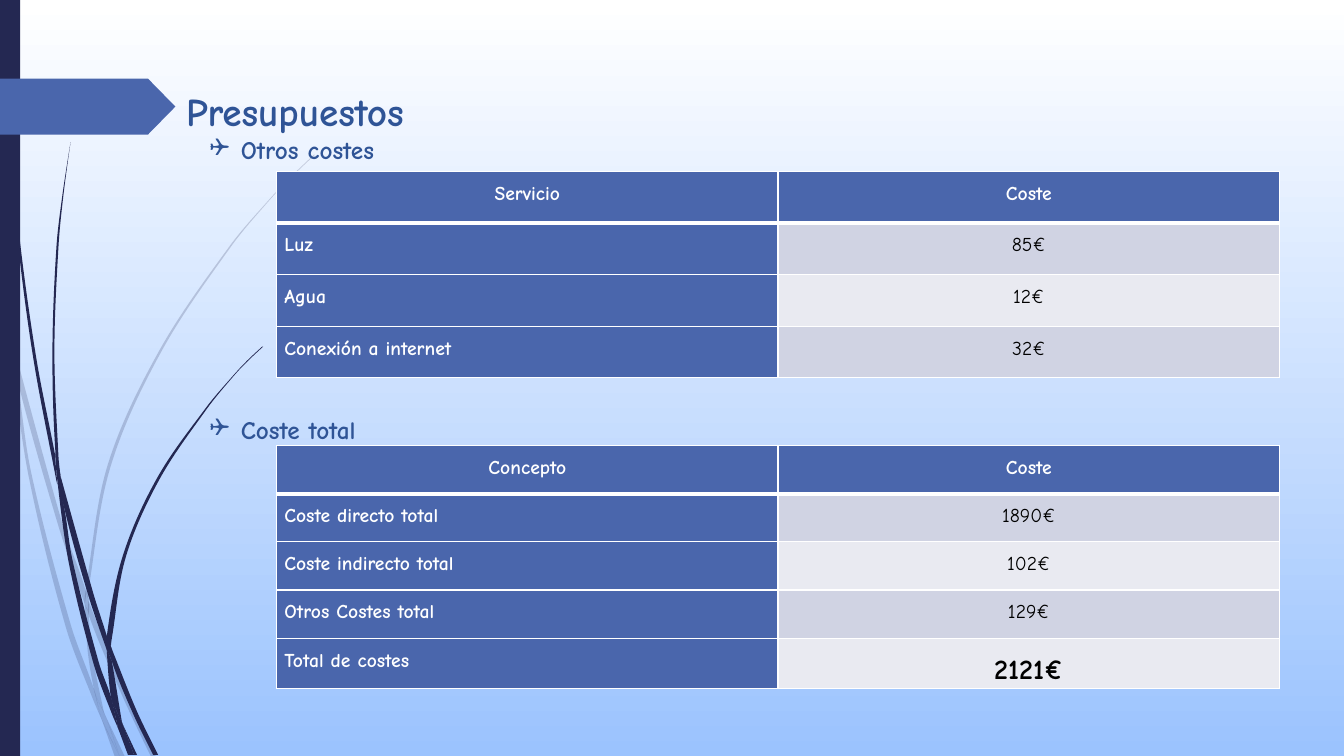
from dataclasses import dataclass
from math import hypot
from typing import NamedTuple

from pptx import Presentation
from pptx.dml.color import RGBColor
from pptx.enum.shapes import MSO_SHAPE
from pptx.enum.text import MSO_ANCHOR, MSO_AUTO_SIZE, PP_ALIGN
from pptx.oxml import parse_xml
from pptx.oxml.ns import nsdecls, qn
from pptx.util import Pt

WHITE = RGBColor(0xFF, 0xFF, 0xFF)
BLACK = RGBColor(0, 0, 0)
SKY = RGBColor(0x9B, 0xC3, 0xFE)
NAVY = RGBColor(0x24, 0x28, 0x52)
BLUE = RGBColor(0x4A, 0x66, 0xAC)
HEADING = RGBColor(0x2F, 0x54, 0x96)
BANDS = (RGBColor(0xD0, 0xD3, 0xE3), RGBColor(0xE9, 0xEA, 0xF1))
FONT = "Comic Neue"
GRID = 0.72
COLUMNS = (358, 358.4)
TABLE_LEFT = 197.7


class Knot(NamedTuple):
    x: float
    y: float


@dataclass
class Heading:
    text: str
    top: float
    width: float


@dataclass
class CostTable:
    top: float
    row_height: float
    rows: list[tuple[str, str]]
    has_total: bool = False


PALE_STALKS = [
    [(11, 350), (9, 322), (0, 282), (0, 299), (10, 344)],
    [(58, 522), (84, 599), (85, 586), (62, 520), (14, 345), (17, 376)],
    [(92, 607), (88, 596), (88, 610), (123, 694), (150, 751), (155, 751), (127, 692)],
    [(119, 751), (124, 751), (105, 711)],
    [(93, 683), (70, 619), (31, 469), (17, 376), (11, 350), (28, 470), (65, 621),
     (92, 693), (101, 714), (99, 707)],
    [(84, 599), (87, 646), (93, 683), (96, 692), (105, 711), (103, 706), (91, 646),
     (88, 610), (88, 608)],
    [(88, 584), (110, 462), (160, 349), (229, 245), (268, 198), (290, 175), (312, 154),
     (312, 153), (289, 175), (268, 197), (228, 244), (158, 348), (107, 461), (85, 584),
     (85, 586), (88, 596)],
    [(101, 714), (114, 751), (119, 751)],
    [(88, 608), (88, 610), (88, 596), (85, 586), (84, 599)],
    [(96, 692), (93, 683), (99, 707), (101, 714), (119, 751), (105, 711)],
]
DARK_STALKS = [
    [(7, 110), (17, 233), (33, 355), (56, 477), (57, 481), (55, 457), (55, 453),
     (36, 355), (19, 232), (8, 109), (5, 48), (4, 0), (3, 0), (4, 48)],
    [(88, 592), (106, 645), (106, 633), (106, 631), (93, 590), (60, 472), (64, 505)],
    [(113, 649), (110, 641), (111, 656), (132, 708), (152, 749), (157, 749), (136, 706)],
    [(110, 691), (98, 657), (72, 556), (64, 505), (57, 477), (68, 557), (93, 659),
     (111, 708), (117, 722), (116, 717)],
    [(60, 472), (58, 453), (54, 349), (58, 245), (63, 193), (70, 141), (62, 193),
     (56, 245), (52, 349), (55, 449)],
    [(133, 749), (136, 749), (122, 719)],
    [(57, 477), (64, 505), (60, 472), (55, 449), (55, 453)],
    [(111, 633), (125, 552), (158, 476), (205, 406), (231, 374), (245, 359), (261, 344),
     (260, 344), (245, 358), (231, 373), (204, 405), (156, 474), (122, 551), (106, 631),
     (110, 641)],
    [(117, 722), (127, 749), (131, 749)],
    [(106, 645), (110, 691), (116, 706), (122, 719), (121, 716), (111, 656), (109, 651)],
    [(106, 645), (109, 651), (111, 656), (110, 641), (106, 631), (106, 633)],
    [(116, 706), (110, 691), (116, 717), (117, 722), (130, 749), (133, 749), (122, 719)],
]
HEADINGS = [Heading("Otros costes", 81.4, 198), Heading("Coste total", 281.5, 170.6)]
TABLES = [
    CostTable(122.4, 36.9, [("Servicio", "Coste"), ("Luz", "85€"), ("Agua", "12€"),
                            ("Conexión a internet", "32€")]),
    CostTable(318.3, 34.4, [("Concepto", "Coste"), ("Coste directo total", "1890€"),
                            ("Coste indirecto total", "102€"),
                            ("Otros Costes total", "129€"),
                            ("Total de costes", "2121€")], True),
]


def tangent(before: Knot, knot: Knot, after: Knot) -> tuple[float, float]:
    ax, ay = knot.x - before.x, knot.y - before.y
    bx, by = after.x - knot.x, after.y - knot.y
    if ax * bx + ay * by < 0.8 * hypot(ax, ay) * hypot(bx, by):
        return 0, 0
    span = hypot(ax + bx, ay + by)
    return (ax + bx) / span, (ay + by) / span


def curve_points(knots: list[Knot]) -> list[tuple[int, int]]:
    count = len(knots)
    slopes = [tangent(knots[i - 1], k, knots[(i + 1) % count]) for i, k in enumerate(knots)]
    points = []
    for i, a in enumerate(knots):
        j = (i + 1) % count
        b = knots[j]
        third = hypot(b.x - a.x, b.y - a.y) / 3
        for x, y in ((a.x + slopes[i][0] * third, a.y + slopes[i][1] * third),
                     (b.x - slopes[j][0] * third, b.y - slopes[j][1] * third), b):
            points.append((Pt(x * GRID), Pt(y * GRID)))
    return points


def paint(shape, color: RGBColor) -> None:
    shape.shadow.inherit = False
    shape.fill.solid()
    shape.fill.fore_color.rgb = color
    shape.line.fill.background()


def draw_stalk(s, outline: list[tuple[int, int]], opacity: int) -> None:
    points = curve_points([Knot(*k) for k in outline])
    builder = s.shapes.build_freeform(*points[-1])
    builder.add_line_segments(points, close=True)
    shape = builder.convert_to_shape()
    paint(shape, NAVY)
    lines = list(shape._element.iter(qn("a:lnTo")))
    for i in range(0, len(lines), 3):
        curve = parse_xml(f'<a:cubicBezTo {nsdecls("a")}/>')
        lines[i].addprevious(curve)
        for line in lines[i:i + 3]:
            curve.append(line[0])
            line.getparent().remove(line)
    if opacity < 100:
        color = shape.fill._xPr.find(".//" + qn("a:srgbClr"))
        color.append(parse_xml(f'<a:alpha {nsdecls("a")} val="{opacity * 1000}"/>'))


def write(p, text: str, size: float, color: RGBColor, bold: bool = True) -> None:
    r = p.add_run()
    r.text = text
    for name, value in {"name": FONT, "size": Pt(size), "bold": bold}.items():
        setattr(r.font, name, value)
    r.font.color.rgb = color


def space(p, align: PP_ALIGN) -> None:
    values = {"alignment": align, "line_spacing": 1.5, "space_after": Pt(8)}
    for name, value in values.items():
        setattr(p, name, value)


def draw_heading(s, heading: Heading) -> None:
    box = s.shapes.add_textbox(Pt(106.6), Pt(heading.top), Pt(heading.width), Pt(36.7))
    tf = box.text_frame
    tf.word_wrap = True
    p = tf.paragraphs[0]
    p.level = 1
    space(p, PP_ALIGN.JUSTIFY)
    pPr = p._p.get_or_add_pPr()
    pPr.set("marL", str(Pt(58.3)))
    pPr.set("indent", str(-Pt(22.3)))
    for bullet in (f'<a:buClr {nsdecls("a")}><a:srgbClr val="{HEADING}"/></a:buClr>',
                   f'<a:buFont {nsdecls("a")} typeface="Wingdings"/>',
                   f'<a:buChar {nsdecls("a")} char="❑"/>'):
        pPr.append(parse_xml(bullet))
    write(p, heading.text, 18, HEADING)


def add_borders(cell, top: float, bottom: float) -> None:
    tcPr = cell._tc.get_or_add_tcPr()
    widths = {"lnL": 1, "lnR": 1, "lnT": top, "lnB": bottom}
    for i, (tag, width) in enumerate(widths.items()):
        tcPr.insert(i, parse_xml(
            f'<a:{tag} {nsdecls("a")} w="{Pt(width)}"><a:solidFill>'
            f'<a:srgbClr val="{WHITE}"/></a:solidFill></a:{tag}>'))


def draw_table(s, data: CostTable) -> None:
    count = len(data.rows)
    table = s.shapes.add_table(count, 2, Pt(TABLE_LEFT), Pt(data.top), Pt(sum(COLUMNS)),
                               Pt(count * data.row_height)).table
    for column, width in zip(table.columns, COLUMNS):
        column.width = Pt(width)
    margins = {"margin_left": Pt(5.4), "margin_right": Pt(5.4),
               "margin_top": 0, "margin_bottom": 0}
    for i, row in enumerate(data.rows):
        table.rows[i].height = Pt(data.row_height)
        for j, text in enumerate(row):
            cell = table.cell(i, j)
            for name, value in margins.items():
                setattr(cell, name, value)
            is_value = i > 0 and j == 1
            is_total = is_value and data.has_total and i == count - 1
            cell.fill.solid()
            cell.fill.fore_color.rgb = BANDS[(i - 1) % 2] if is_value else BLUE
            add_borders(cell, 3 if i == 1 else 1, 3 if i == 0 else 1)
            p = cell.text_frame.paragraphs[0]
            space(p, PP_ALIGN.CENTER if i == 0 or j == 1 else PP_ALIGN.JUSTIFY)
            write(p, text, 20 if is_total else 14, BLACK if is_value else WHITE,
                  is_total or not is_value)


def main() -> None:
    prs = Presentation()
    prs.slide_width, prs.slide_height = Pt(960), Pt(540)
    s = prs.slides.add_slide(prs.slide_layouts[5])
    fill = s.background.fill
    fill.gradient()
    fill.gradient_angle = 270
    for stop, color, position in zip(fill.gradient_stops, (WHITE, SKY), (0, 1)):
        stop.color.rgb = color
        stop.position = position
    for stalks, opacity in ((PALE_STALKS, 20), (DARK_STALKS, 100)):
        for outline in stalks:
            draw_stalk(s, outline, opacity)
    paint(s.shapes.add_shape(MSO_SHAPE.RECTANGLE, 0, 0, Pt(14.4), Pt(540)), NAVY)
    arrow = s.shapes.add_shape(MSO_SHAPE.PENTAGON, 0, Pt(56.2), Pt(125.3), Pt(39.9))
    arrow.adjustments[0] = 0.49
    paint(arrow, BLUE)
    title = s.shapes.title
    title.left, title.top, title.width, title.height = Pt(125.7), Pt(58.6), Pt(211), Pt(41)
    tf = title.text_frame
    for name, value in {"word_wrap": True, "auto_size": MSO_AUTO_SIZE.NONE,
                        "vertical_anchor": MSO_ANCHOR.TOP}.items():
        setattr(tf, name, value)
    p = tf.paragraphs[0]
    p.alignment = PP_ALIGN.LEFT
    write(p, "Presupuestos", 28, HEADING)
    for heading in HEADINGS:
        draw_heading(s, heading)
    for table in TABLES:
        draw_table(s, table)
    prs.save("out.pptx")


if __name__ == "__main__":
    main()
